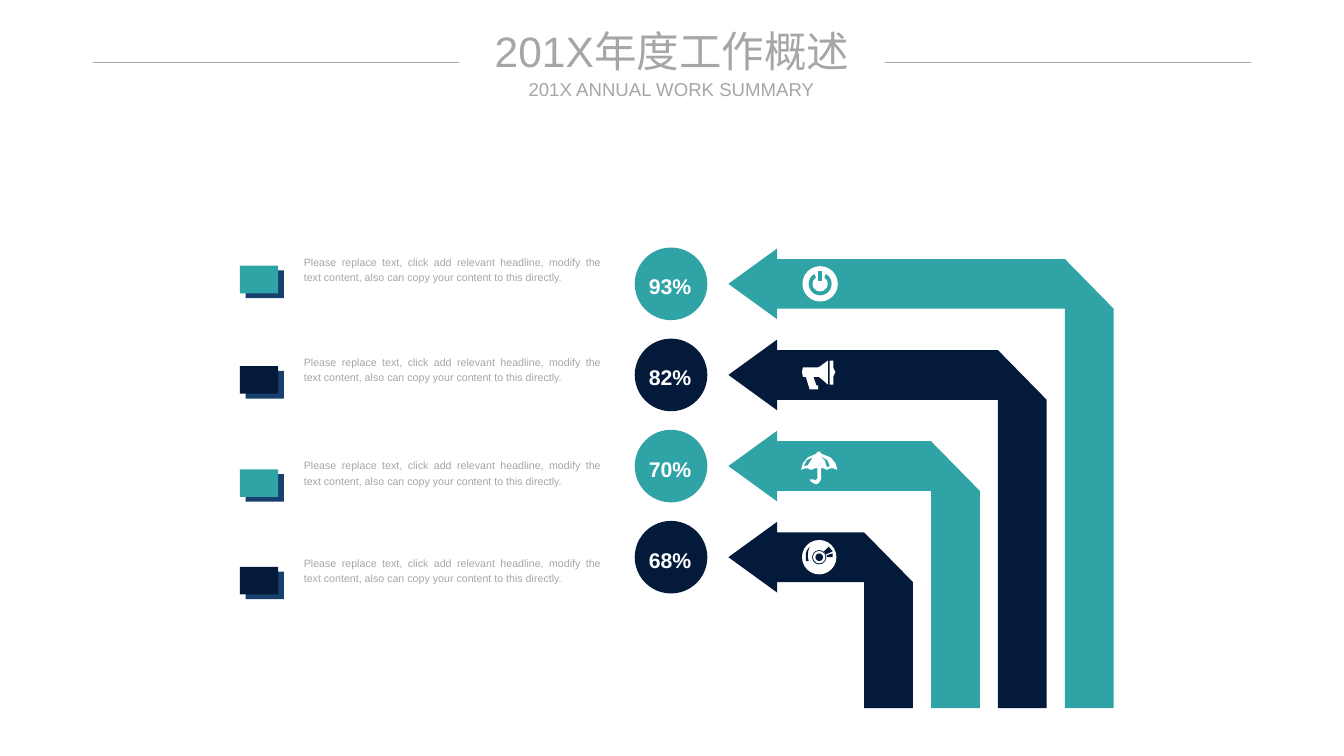
import pptx
import pptx.util
import pptx.dml.color
import pptx.enum.shapes
import pptx.enum.text
import pptx.oxml

Inches = pptx.util.Inches
RGB = pptx.dml.color.RGBColor
SHAPE = pptx.enum.shapes.MSO_SHAPE
ALIGN = pptx.enum.text.PP_ALIGN
ANCHOR = pptx.enum.text.MSO_ANCHOR

TEAL = RGB(0x2F, 0xA3, 0xA5)
NAVY = RGB(0x04, 0x1A, 0x3B)
BLUE = RGB(0x17, 0x40, 0x6D)
GRAY = RGB(0xA6, 0xA6, 0xA6)
WHITE = RGB(0xFF, 0xFF, 0xFF)

BODY = ("Please replace text, click add relevant headline, modify the text "
        "content, also can copy your content to this directly.")

# Icon parts in hundredths of an inch from the icon centre:
# "disc" holds x, y, radius; "poly" holds corner points.
# True paints white, False paints the arrow colour.
POWER = [
    ("disc", True, (0, 0, 18.5)),
    ("disc", False, (0, 0, 12)),
    ("disc", True, (0, 0, 8)),
    ("poly", True, [(-7, -13), (7, -13), (4, -6), (-4, -6)]),
    ("poly", False, [(-2, -13), (2, -13), (2, -3), (-2, -3)]),
]
HORN = [
    ("poly", True, [(-17, -8), (-1, -8), (1, -9), (9, -15), (9, 10), (1, 3),
                    (-1, 2), (-6, 2), (-3, 11), (-1, 11), (-1, 15), (-10, 15),
                    (-14, 2), (-17, 2), (-18, -3)]),
    ("poly", True, [(11, -15), (15, -15), (15, -7), (17, -3), (15, 1),
                    (15, 10), (11, 10)]),
    ("poly", False, [(-4, 3), (-1, 3), (-2, 6), (-2, 8), (-3, 8)]),
]
BROLLY = [
    ("poly", True, [(-19, 2), (-17, -5), (-12, -11), (-3, -15), (-2, -17),
                    (1, -17), (2, -15), (12, -11), (17, -5), (19, 2), (15, 0.5),
                    (11, 0.5), (8, 2), (5, 0.5), (2, 0), (2, 11), (1, 14),
                    (-1, 16), (-3, 17), (-6, 16), (-9, 14), (-10, 12), (-6, 12),
                    (-5, 13), (-3, 12), (-2, 11), (-2, 0), (-5, 0.5), (-8, 2),
                    (-12, 0.5), (-15, 0.5)]),
    ("poly", False, [(8, -1), (11, -2), (8.5, -8), (2, -12), (6, -8)]),
    ("poly", False, [(-16, -2), (-12, -3), (-7, -11), (-13, -8)]),
]
RECORD = [
    ("disc", True, (0, 0, 18)),
    ("disc", False, (0, 0, 7.5)),
    ("disc", True, (0, 0, 6.5)),
    ("disc", False, (0, 0, 4)),
    ("poly", False, [(-10, -11), (-13, -7), (-14, -3), (-14, 4), (-11, 4),
                     (-12, -1), (-11.5, -6)]),
    ("poly", False, [(5, -6), (10, -11), (14, -6), (7, -3)]),
    ("poly", False, [(8, -2), (14, -4), (14, 0), (8, 0)]),
]

# Share, colour, icon, icon centre x, top of its note
ROWS = [("93%", TEAL, POWER, 8.58, 2.6), ("82%", NAVY, HORN, 8.57, 3.65),
        ("70%", TEAL, BROLLY, 8.57, 4.73), ("68%", NAVY, RECORD, 8.57, 5.75)]


def paint(shape, color):
    shape.shadow.inherit = False
    shape.fill.solid()
    shape.fill.fore_color.rgb = color
    shape.line.fill.background()


def block(slide, kind, x, y, w, h, color):
    shape = slide.shapes.add_shape(kind, Inches(x), Inches(y), Inches(w), Inches(h))
    paint(shape, color)


def disc(slide, x, y, r, color):
    block(slide, SHAPE.OVAL, x - r, y - r, 2 * r, 2 * r, color)


def poly(slide, points, color):
    spots = [(Inches(x), Inches(y)) for x, y in points]
    form = slide.shapes.build_freeform(*spots[0])
    form.add_line_segments(spots[1:], close=True)
    paint(form.convert_to_shape(), color)


def write(slide, text, x, y, w, h, size=8, color=GRAY, bold=False,
          align=ALIGN.JUSTIFY, space=1.2, wrap=True, inset=True,
          anchor=ANCHOR.TOP):
    box = slide.shapes.add_textbox(Inches(x), Inches(y), Inches(w), Inches(h))
    frame = box.text_frame
    frame.word_wrap = wrap
    frame.vertical_anchor = anchor
    if not inset:
        frame.margin_left = frame.margin_right = 0
        frame.margin_top = frame.margin_bottom = 0
    para = frame.paragraphs[0]
    para.alignment = align
    para.line_spacing = space
    run = para.add_run()
    run.text = text
    run.font.name = "Arial"
    run.font.size = pptx.util.Pt(size)
    run.font.bold = bold
    run.font.color.rgb = color


def rule(slide, x, y, w):
    line = slide.shapes.add_connector(
        pptx.enum.shapes.MSO_CONNECTOR.STRAIGHT,
        Inches(x), Inches(y), Inches(x + w), Inches(y))
    line.line.color.rgb = GRAY
    line.line.width = pptx.util.Pt(0.5)
    props = line._element.spPr
    props.append(pptx.oxml.parse_xml(
        '<a:effectLst xmlns:a="http://schemas.openxmlformats.org/drawingml/2006/main"/>'))


def header(slide, x, y, w):
    """Centred title and subtitle between two rules."""
    mid = x + w / 2
    style = dict(align=ALIGN.CENTER, space=1.0, inset=False, anchor=ANCHOR.MIDDLE)
    for left in (x, x + w - 3.83):
        rule(slide, left, y + 0.39, 3.83)
    write(slide, "201X年度工作概述", mid - 2.16, y, 4.32, 0.54, size=32, **style)
    write(slide, "201X ANNUAL WORK SUMMARY", mid - 1.54, y + 0.55, 3.07, 0.24,
          size=14, **style)


def note(slide, x, y, color):
    """Marker with an offset backing square, and its text."""
    block(slide, SHAPE.RECTANGLE, x + 0.06, y + 0.23, 0.4, 0.29, BLUE)
    block(slide, SHAPE.RECTANGLE, x, y + 0.18, 0.4, 0.29, color)
    write(slide, BODY, x + 0.57, y, 3.31, 0.41)


def badge(slide, x, y, text, color):
    """Percentage in a circle centred on x, y."""
    disc(slide, x, y, 0.38, color)
    write(slide, text, x - 0.33, y - 0.21, 0.65, 0.42, size=16, color=WHITE,
          bold=True, wrap=False)


def arrow(slide, x, y, right, base, color):
    """Arrow rising from the base, bending left to its tip at x, y."""
    neck, bend = x + 0.51, right - 0.51
    half, head = 0.26, 0.37
    poly(slide, [(x, y), (neck, y - head), (neck, y - half), (bend, y - half),
                 (right, y + half), (right, base), (bend, base),
                 (bend, y + half), (neck, y + half), (neck, y + head)], color)


def icon(slide, x, y, parts, color):
    for kind, light, data in parts:
        shade = WHITE if light else color
        if kind == "disc":
            dx, dy, r = (n / 100 for n in data)
            disc(slide, x + dx, y + dy, r, shade)
        else:
            poly(slide, [(x + dx / 100, y + dy / 100) for dx, dy in data], shade)


def chart(slide, x, y, w, h):
    """Four rows: note, badge and nested arrow."""
    step = 2.86 / 3
    for i, (share, color, parts, spot, top) in enumerate(ROWS):
        mid = y + 0.37 + i * step
        note(slide, x, top, color)
        badge(slide, x + 4.51, mid, share, color)
        arrow(slide, x + 5.11, mid, x + w - i * 0.7, y + h, color)
        icon(slide, spot, mid + (0.02 if parts is BROLLY else 0), parts, color)


def main():
    deck = pptx.Presentation()
    deck.slide_width, deck.slide_height = Inches(14.06), Inches(7.91)
    slide = deck.slides.add_slide(deck.slide_layouts[6])
    header(slide, 0.97, 0.26, 12.12)
    chart(slide, 2.51, 2.6, 9.14, 4.81)
    deck.save("out.pptx")


if __name__ == "__main__":
    main()
